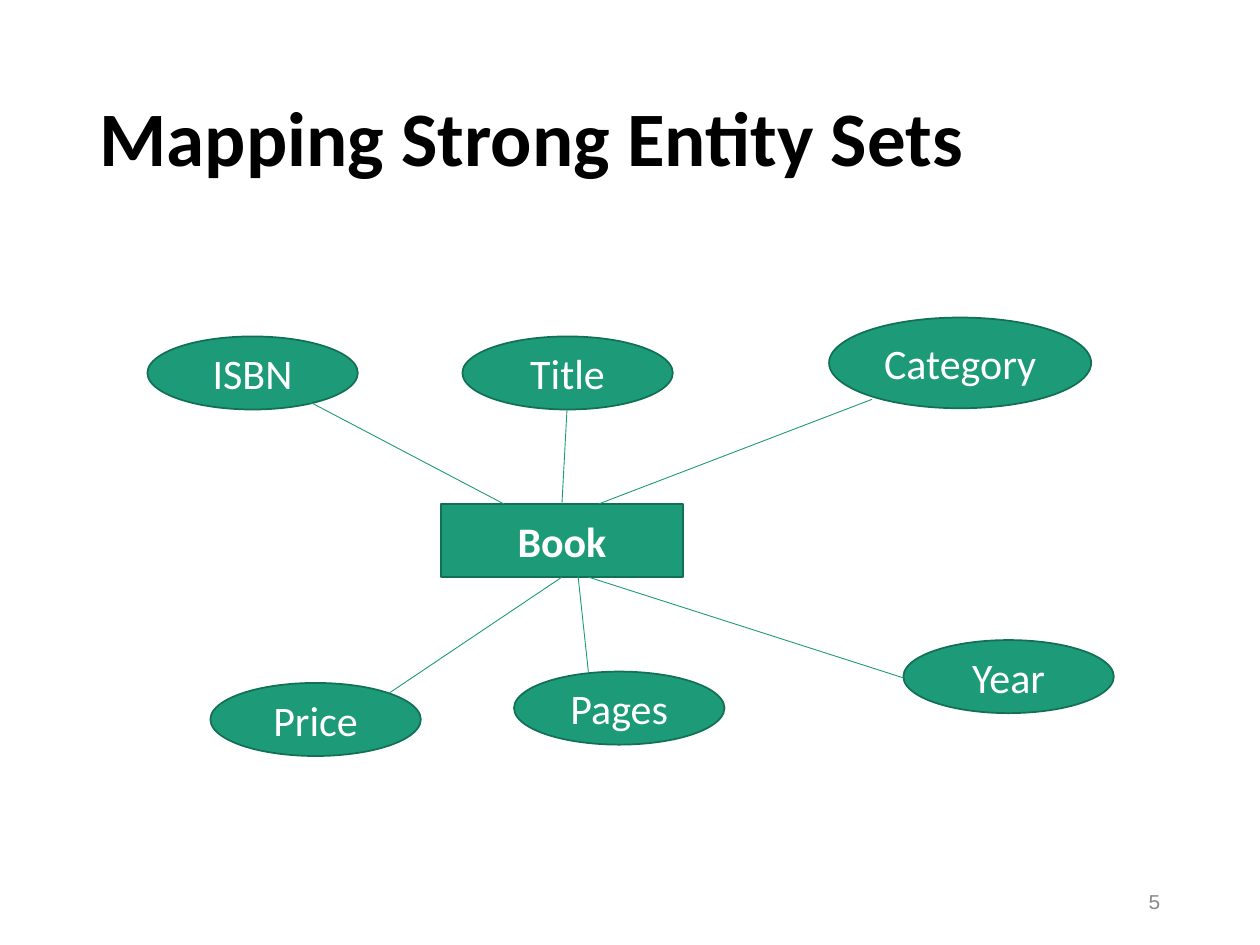
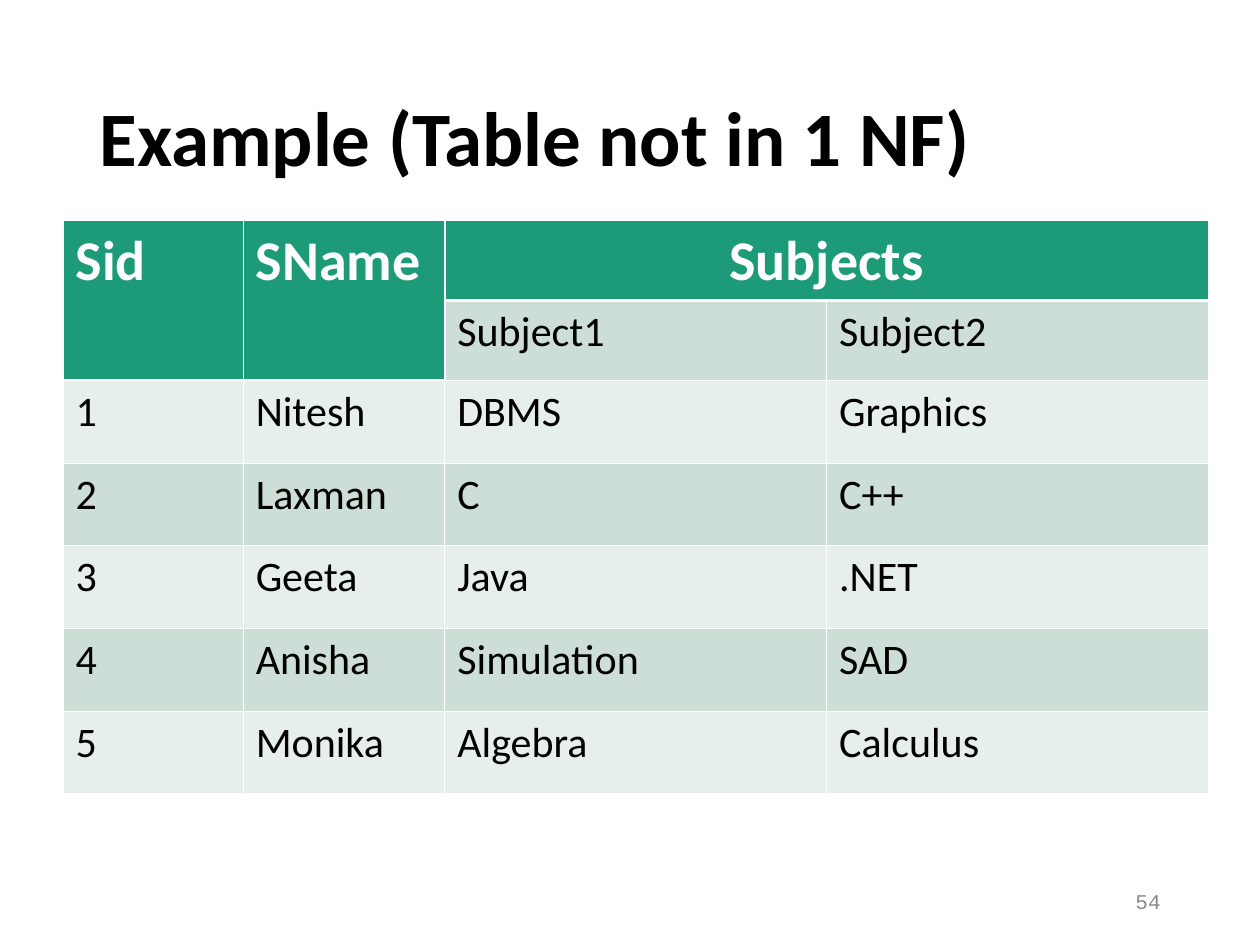
from pptx import Presentation
from pptx.dml.color import RGBColor
from pptx.enum.shapes import MSO_CONNECTOR, MSO_SHAPE
from pptx.enum.text import MSO_ANCHOR, PP_ALIGN
from pptx.oxml.ns import qn
from pptx.util import Inches, Pt
from lxml.etree import SubElement

COLORS = {
    "green": "1D9A78",
    "outline": "127056",
    "band_dark": "CCDED6",
    "band_light": "E7EFEC",
    "white": "FFFFFF",
    "black": "000000",
    "gray": "898989",
}


def rgb(name):
    return RGBColor.from_string(COLORS[name])


def add_text(tf, text, size, color, bold=False, align=PP_ALIGN.LEFT, font="Calibri"):
    p = tf.paragraphs[0]
    p.alignment = align
    r = p.add_run()
    r.text = text
    r.font.name = font
    r.font.size = Pt(size)
    r.font.bold = bold
    r.font.color.rgb = rgb(color)
    return p


prs = Presentation()
prs.slide_width = Inches(10)
prs.slide_height = Inches(7.5)

slides = []
for title, number in [("Mapping Strong Entity Sets", "5"), ("Example (Table not in 1 NF)", "54")]:
    s = prs.slides.add_slide(prs.slide_layouts[5])
    sp = s.shapes.title
    sp.left, sp.top, sp.width, sp.height = [Inches(v) for v in (0.69, 0.4, 8.63, 1.45)]
    sp.text_frame.vertical_anchor = MSO_ANCHOR.MIDDLE
    p = add_text(sp.text_frame, title, 44, "black", bold=True)
    p.line_spacing = 0.9

    tf = s.shapes.add_textbox(Inches(7.06), Inches(6.95), Inches(2.25), Inches(0.4)).text_frame
    tf.word_wrap = True
    tf.vertical_anchor = MSO_ANCHOR.MIDDLE
    add_text(tf, number, 12, "gray", align=PP_ALIGN.RIGHT, font="Courier New")
    slides.append(s)

diagram, example = slides

nodes = [
    ("Category", 6.58, 2.52, 2.08, 0.72),
    ("Book", 3.5, 4, 1.92, 0.58),
    ("ISBN", 1.17, 2.67, 1.67, 0.58),
    ("Title", 3.67, 2.67, 1.67, 0.58),
    ("Year", 7.17, 5.08, 1.67, 0.58),
    ("Pages", 4.08, 5.33, 1.67, 0.58),
    ("Price", 1.67, 5.42, 1.67, 0.58),
]
for name, *box in nodes:
    is_entity = name == "Book"
    kind = MSO_SHAPE.RECTANGLE if is_entity else MSO_SHAPE.OVAL
    sp = diagram.shapes.add_shape(kind, *[Inches(v) for v in box])
    sp.shadow.inherit = False
    sp.fill.solid()
    sp.fill.fore_color.rgb = rgb("green")
    sp.line.color.rgb = rgb("outline")
    sp.line.width = Pt(1)
    sp.text_frame.vertical_anchor = MSO_ANCHOR.MIDDLE
    add_text(sp.text_frame, name, 24, "white", bold=is_entity, align=PP_ALIGN.CENTER)

links = [
    (4.46, 4, 4.5, 3.25),
    (4.75, 4, 6.92, 3.17),
    (4, 4, 2.42, 3.17),
    (4.46, 4.58, 3.09, 5.5),
    (4.67, 4.58, 7.17, 5.38),
    (4.58, 4.5, 4.67, 5.33),
]
for ends in links:
    line = diagram.shapes.add_connector(MSO_CONNECTOR.STRAIGHT, *[Inches(v) for v in ends])
    line.line.color.rgb = rgb("green")
    line.line.width = Pt(0.5)
    SubElement(line._element.spPr, qn("a:effectLst"))

rows = [
    ["Sid", "SName", "Subjects", ""],
    ["", "", "Subject1", "Subject2"],
    ["1", "Nitesh", "DBMS", "Graphics"],
    ["2", "Laxman", "C", "C++"],
    ["3", "Geeta", "Java", ".NET"],
    ["4", "Anisha", "Simulation", "SAD"],
    ["5", "Monika", "Algebra", "Calculus"],
]
col_widths = [1.43, 1.6, 3.03, 3.03]
row_heights = [0.63, 0.63, 0.66, 0.65, 0.66, 0.66, 0.65]
header_rows = [2, 2, 1, 1]

table = example.shapes.add_table(
    len(rows), len(col_widths), Inches(0.5), Inches(1.75), Inches(9.08), Inches(4.54)
).table
table.horz_banding = False
for col, width in zip(table.columns, col_widths):
    col.width = Inches(width)
for row, height in zip(table.rows, row_heights):
    row.height = Inches(height)
table.cell(0, 0).merge(table.cell(1, 0))
table.cell(0, 1).merge(table.cell(1, 1))
table.cell(0, 2).merge(table.cell(0, 3))

for i, row in enumerate(rows):
    for j, text in enumerate(row):
        cell = table.cell(i, j)
        is_header = i < header_rows[j]
        thick = {
            "a:lnL": j == 2 and i < 2,
            "a:lnR": j == 1 and i < 2,
            "a:lnT": i == header_rows[j],
            "a:lnB": is_header,
        }
        for tag, is_thick in thick.items():
            width = Pt(1.47 if is_thick else 0.45)
            ln = SubElement(cell._tc.get_or_add_tcPr(), qn(tag), w=str(width))
            SubElement(SubElement(ln, qn("a:solidFill")), qn("a:srgbClr"), val=COLORS["white"])
        cell.fill.solid()
        band = "band_dark" if i % 2 else "band_light"
        cell.fill.fore_color.rgb = rgb("green" if is_header else band)
        if text:
            add_text(
                cell.text_frame,
                text,
                32 if is_header else 24,
                "white" if is_header else "black",
                bold=is_header,
                align=PP_ALIGN.CENTER if text == "Subjects" else PP_ALIGN.LEFT,
            )

prs.save("out.pptx")
